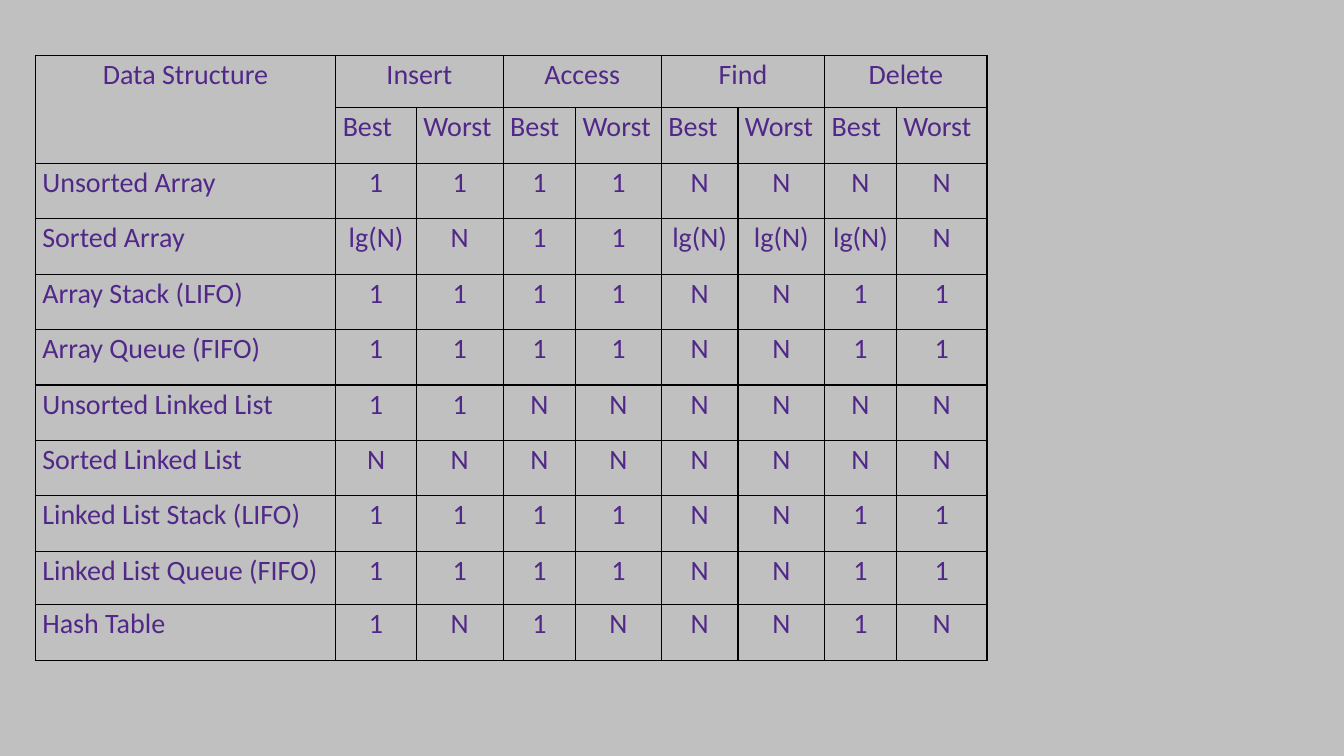
"""Build a slide comparing the best and worst costs of common data structures."""
from dataclasses import dataclass

from lxml.etree import SubElement
from pptx import Presentation
from pptx.dml.color import RGBColor as RGB
from pptx.enum.text import PP_ALIGN as Align
from pptx.oxml.ns import qn
from pptx.util import Inches, Pt


@dataclass(frozen=True)
class Theme:
    background: str = "C0C0C0"
    text: str = "512888"
    border: str = "000000"
    font: str = "Calibri"
    size: int = 20
    border_width: int = 1
    line_spacing: float = 1.07


def draw_borders(cell):
    properties = cell._tc.get_or_add_tcPr()
    for side in ("a:lnL", "a:lnR", "a:lnT", "a:lnB"):
        line = SubElement(properties, qn(side), w=str(Pt(theme.border_width)))
        paint = SubElement(line, qn("a:solidFill"))
        SubElement(paint, qn("a:srgbClr"), val=theme.border)


theme = Theme()
operations = ["Insert", "Access", "Find", "Delete"]
costs = {
    "Unsorted Array": "1 1 1 1 N N N N",
    "Sorted Array": "lg(N) N 1 1 lg(N) lg(N) lg(N) N",
    "Array Stack (LIFO)": "1 1 1 1 N N 1 1",
    "Array Queue (FIFO)": "1 1 1 1 N N 1 1",
    "Unsorted Linked List": "1 1 N N N N N N",
    "Sorted Linked List": "N N N N N N N N",
    "Linked List Stack (LIFO)": "1 1 1 1 N N 1 1",
    "Linked List Queue (FIFO)": "1 1 1 1 N N 1 1",
    "Hash Table": "1 N 1 N N N 1 N",
}
heading = ["Data Structure"]
for operation in operations:
    heading += [operation, ""]
content = [heading, [""] + ["Best", "Worst"] * len(operations)]
content += [[structure, *cost.split()] for structure, cost in costs.items()]

column_widths = [2.98, 0.8, 0.86, 0.72, 0.85, 0.76, 0.86, 0.71, 0.9]
row_heights = [0.52] + [0.55] * 8 + [0.53, 0.55]

deck = Presentation()
deck.slide_width, deck.slide_height = Inches(13.33), Inches(7.5)
slide = deck.slides.add_slide(deck.slide_layouts[6])
slide.background.fill.solid()
slide.background.fill.fore_color.rgb = RGB.from_string(theme.background)

comparison = slide.shapes.add_table(
    len(row_heights), len(column_widths), Inches(0.35), Inches(0.55),
    Inches(sum(column_widths)), Inches(sum(row_heights))).table
comparison.first_row = comparison.horz_banding = False
for column, width in zip(comparison.columns, column_widths):
    column.width = Inches(width)
for row, height in zip(comparison.rows, row_heights):
    row.height = Inches(height)

for r, entries in enumerate(content):
    for c, entry in enumerate(entries):
        cell = comparison.cell(r, c)
        cell.margin_left = cell.margin_right = Inches(0.07)
        cell.margin_top = cell.margin_bottom = 0
        draw_borders(cell)
        cell.fill.background()
        paragraph = cell.text_frame.paragraphs[0]
        paragraph.text = entry
        paragraph.line_spacing = theme.line_spacing
        centred = r == 0 or (r > 1 and c > 0)
        paragraph.alignment = Align.CENTER if centred else Align.LEFT
        for run in paragraph.runs:
            run.font.name = theme.font
            run.font.size = Pt(theme.size)
            run.font.color.rgb = RGB.from_string(theme.text)

comparison.cell(0, 0).merge(comparison.cell(1, 0))
for first in range(1, len(column_widths), 2):
    comparison.cell(0, first).merge(comparison.cell(0, first + 1))

deck.save("out.pptx")
